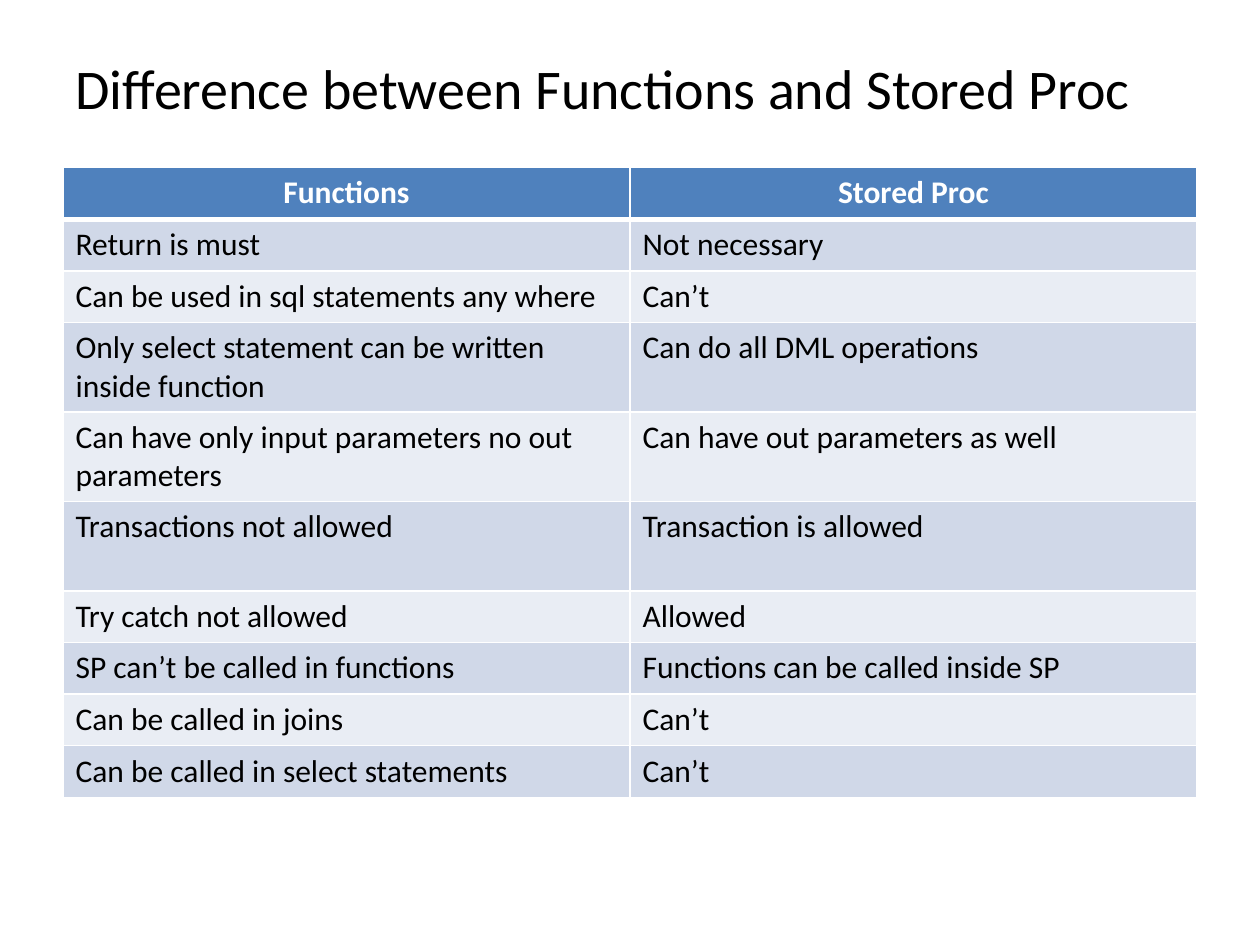
from lxml.etree import SubElement
from pptx import Presentation
from pptx.dml.color import RGBColor
from pptx.enum.text import MSO_ANCHOR, PP_ALIGN
from pptx.oxml.ns import qn
from pptx.util import Inches, Pt

COLORS = {
    "text": "000000",
    "white": "FFFFFF",
    "header": "4F81BD",
    "odd": "D0D8E8",
    "even": "E9EDF4",
}
ROW_HEIGHT = 0.41
TALL_HEIGHT = 0.71
TALL_ROWS = (3, 4, 5)

COMPARISON = [
    ("Functions", "Stored Proc"),
    ("Return is must", "Not necessary"),
    ("Can be used in sql statements any where", "Can’t"),
    ("Only select statement can be written inside function", "Can do all DML operations"),
    ("Can have only input parameters no out parameters", "Can have out parameters as well"),
    ("Transactions not allowed", "Transaction is allowed"),
    ("Try catch not allowed", "Allowed"),
    ("SP can’t be called in functions", "Functions can be called inside SP"),
    ("Can be called in joins", "Can’t"),
    ("Can be called in select statements", "Can’t"),
]


def write_text(frame, text, size=18, color="text", bold=False, align=PP_ALIGN.LEFT, font="Calibri"):
    paragraph = frame.paragraphs[0]
    paragraph.alignment = align
    span = paragraph.add_run()
    span.text = text
    span.font.name = font
    span.font.size = Pt(size)
    span.font.bold = bold
    span.font.color.rgb = RGBColor.from_string(COLORS[color])


def add_borders(cell, **widths):
    """Draw white cell borders; widths in points are keyed by side: L, R, T, B."""
    properties = cell._tc.get_or_add_tcPr()
    for side, width in widths.items():
        line = SubElement(properties, qn(f"a:ln{side}"), w=str(Pt(width)))
        fill = SubElement(line, qn("a:solidFill"))
        SubElement(fill, qn("a:srgbClr"), val=COLORS["white"])


class SlideBuilder:
    def __init__(self, deck):
        self.page = deck.slides.add_slide(deck.slide_layouts[6])

    def title(self, text, left, top, width, height):
        box = self.page.shapes.add_textbox(Inches(left), Inches(top), Inches(width), Inches(height))
        frame = box.text_frame
        frame.word_wrap = True
        frame.vertical_anchor = MSO_ANCHOR.MIDDLE
        write_text(frame, text, size=32)

    def table(self, rows, left, top, width):
        heights = [TALL_HEIGHT if i in TALL_ROWS else ROW_HEIGHT for i in range(len(rows))]
        table = self.page.shapes.add_table(
            len(rows), len(rows[0]), Inches(left), Inches(top), Inches(width), Inches(sum(heights))
        ).table
        for i, (row, height) in enumerate(zip(rows, heights)):
            table.rows[i].height = Inches(height)
            for j, text in enumerate(row):
                self.table_cell(table.cell(i, j), text, i)

    def table_cell(self, cell, text, row):
        header = row == 0
        # The header is set off by a thicker line below it
        add_borders(cell, L=1, R=1, T=3 if row == 1 else 1, B=3 if header else 1)
        fill = "header" if header else ("even", "odd")[row % 2]
        cell.fill.solid()
        cell.fill.fore_color.rgb = RGBColor.from_string(COLORS[fill])
        write_text(
            cell.text_frame,
            text,
            color="white" if header else "text",
            bold=header,
            align=PP_ALIGN.CENTER if header else PP_ALIGN.LEFT,
        )


def main():
    deck = Presentation()
    deck.slide_width, deck.slide_height = Inches(10), Inches(7.5)
    builder = SlideBuilder(deck)

    # Heading
    builder.title("Difference between Functions and Stored Proc", 0.5, 0.3, 8.92, 0.78)
    # Comparison table
    builder.table(COMPARISON, 0.5, 1.33, 9)

    deck.save("out.pptx")


if __name__ == "__main__":
    main()
